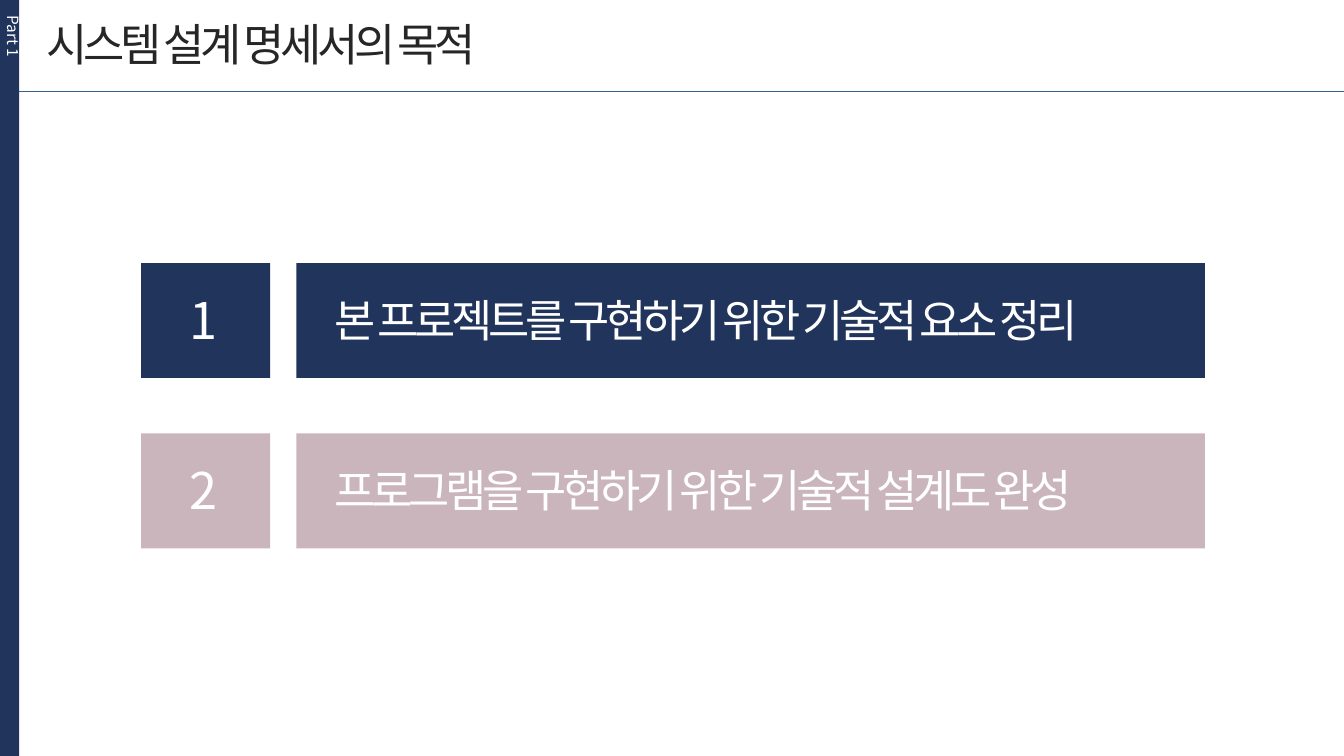
from lxml.etree import SubElement
from pptx import Presentation
from pptx.dml.color import RGBColor
from pptx.enum.shapes import MSO_CONNECTOR, MSO_SHAPE
from pptx.enum.text import MSO_ANCHOR, MSO_AUTO_SIZE, PP_ALIGN
from pptx.oxml.ns import qn
from pptx.util import Inches, Pt

NAVY, ROSE, WHITE, INK, RULE = "21345C", "CAB5BD", "FFFFFF", "262626", "326393"


def color(code):
    return RGBColor.from_string(code)


class Page:
    """Holds the type style and the slide being built."""
    font = "Noto Sans CJK KR"
    tracking = -300  # hundredths of a point

    def __init__(self, slide):
        self.slide = slide

    def block(self, left, top, width, height, fill):
        block = self.slide.shapes.add_shape(
            MSO_SHAPE.RECTANGLE, Inches(left), Inches(top), Inches(width), Inches(height))
        block.fill.solid()
        block.fill.fore_color.rgb = color(fill)
        block.line.fill.background()
        block.shadow.inherit = False

    def rule(self, left, top, right):
        rule = self.slide.shapes.add_connector(
            MSO_CONNECTOR.STRAIGHT, Inches(left), Inches(top), Inches(right), Inches(top))
        rule.line.color.rgb = color(RULE)
        rule.line.width = Pt(0.5)
        SubElement(rule._element.spPr, qn("a:effectLst"))

    def set_text(self, frame, wording, size, ink, align=PP_ALIGN.LEFT, wrap=False, tracked=True):
        frame.word_wrap = wrap
        frame.auto_size = MSO_AUTO_SIZE.SHAPE_TO_FIT_TEXT
        frame.vertical_anchor = MSO_ANCHOR.TOP
        paragraph = frame.paragraphs[0]
        paragraph.alignment = align
        run = paragraph.add_run()
        run.text = wording
        run.font.size = Pt(size)
        run.font.name = self.font
        run.font.color.rgb = color(ink)
        properties = run._r.get_or_add_rPr()
        SubElement(properties, qn("a:ea")).set("typeface", self.font)
        if tracked:
            properties.set("spc", str(self.tracking))

    def title(self, wording, left, top, width, height):
        title = self.slide.shapes.title
        title.left, title.top = Inches(left), Inches(top)
        title.width, title.height = Inches(width), Inches(height)
        self.set_text(title.text_frame, wording, 32, INK)

    def label(self, wording, left, top, width, height, size, **style):
        label = self.slide.shapes.add_textbox(
            Inches(left), Inches(top), Inches(width), Inches(height))
        self.set_text(label.text_frame, wording, size, WHITE, **style)
        return label


def main():
    deck = Presentation()
    deck.slide_width, deck.slide_height = Inches(13.33), Inches(7.5)
    page = Page(deck.slides.add_slide(deck.slide_layouts[5]))

    # Heading and side band
    page.rule(0.19, 0.91, 13.33)
    page.block(0, 0, 0.19, 7.5, NAVY)
    page.title("시스템 설계 명세서의 목적", 0.36, 0.12, 4.77, 0.64)
    part = page.label("Part 1", -0.11, 0.06, 0.39, 2.02, 11, wrap=True, tracked=False)
    part.text_frame._txBody.bodyPr.set("vert", "eaVert")

    # Numbered purposes
    purposes = [
        ("본 프로젝트를 구현하기 위한 기술적 요소 정리", 8.17, NAVY),
        ("프로그램을 구현하기 위한 기술적 설계도 완성", 8.08, ROSE),
    ]
    first_top, pitch = 2.61, 1.69
    for index, (purpose, width, fill) in enumerate(purposes):
        top = first_top + index * pitch
        page.block(1.4, top, 1.28, 1.14, fill)
        page.block(2.94, top, 9.01, 1.14, fill)
        page.label(str(index + 1), 1.78, top + 0.21, 0.44, 0.71, 36, align=PP_ALIGN.CENTER)
        page.label(purpose, 3.22, top + 0.24, width, 0.64, 32)

    deck.save("out.pptx")


if __name__ == "__main__":
    main()
